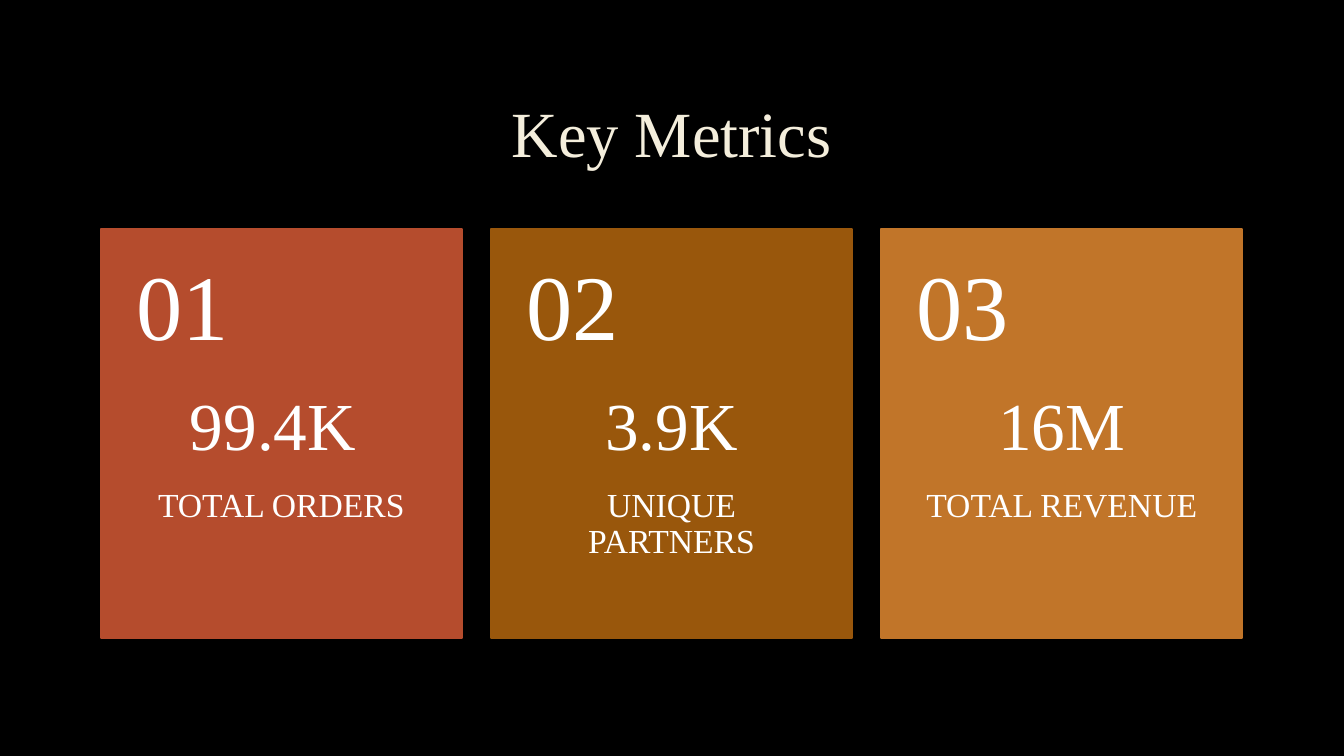
from lxml import etree
from pptx import Presentation
from pptx.dml.color import RGBColor
from pptx.enum import shapes, text
from pptx.oxml import ns
from pptx.util import Inches, Pt

FONT = "Times New Roman"
WHITE = "FFFFFF"
LEFT, TOP, WIDE, TALL = 1, 2.27, 3.58, 4.06
STEP = 3.87
HEAD = 1.62  # height of a card's number band
CARDS = [
    ("B54C2D", "01", "99.4K ", "TOTAL ORDERS"),
    ("99570C", "02", "3.9K", "UNIQUE PARTNERS"),
    ("C17529", "03", "16M", "TOTAL REVENUE"),
]


def paint(fill, color):
    fill.solid()
    fill.fore_color.rgb = RGBColor.from_string(color)


def add_run(para, words, size, color):
    run = para.add_run()
    run.text = words
    run.font.name = FONT
    run.font.size = Pt(size)
    paint(run.font.fill, color)
    para.line_spacing = 0.9
    return run


def add_text(group, box, pads, anchor, align, lines):
    frame = group.shapes.add_textbox(*map(Inches, box)).text_frame
    frame.word_wrap = True
    frame.vertical_anchor = anchor
    frame.margin_left = frame.margin_right = Inches(0.35)
    frame.margin_top, frame.margin_bottom = map(Inches, pads)
    for i, (words, size) in enumerate(lines):
        para = frame.add_paragraph() if i else frame.paragraphs[0]
        para.alignment = align
        para.space_after = Pt(round(size * 0.35))
        add_run(para, words, size, WHITE)


def add_title(slide, box):
    title = slide.shapes.title
    title.left, title.top, title.width, title.height = map(Inches, box)
    frame = title.text_frame
    frame.word_wrap = True
    frame.vertical_anchor = text.MSO_ANCHOR.MIDDLE
    para = frame.paragraphs[0]
    para.alignment = text.PP_ALIGN.CENTER
    run = add_run(para, "Key Metrics", 46, "F4EEDC")
    # Faint letter outline, which must come before the fill
    line = etree.fromstring(
        f'<a:ln {ns.nsdecls("a")} w="9525"><a:solidFill>'
        '<a:srgbClr val="404040"><a:alpha val="10000"/></a:srgbClr>'
        '</a:solidFill></a:ln>')
    run._r.get_or_add_rPr().insert(0, line)


def add_card(slide, box, color, number, value, label):
    x, y, w, h = box
    group = slide.shapes.add_group_shape()
    # Panel
    panel = group.shapes.add_shape(
        shapes.MSO_SHAPE.RECTANGLE, *map(Inches, box))
    panel.shadow.inherit = False
    paint(panel.fill, color)
    paint(panel.line.fill, color)
    panel.line.width = Pt(1.25)
    # Value with its label
    add_text(group, (x, y + HEAD, w, h - HEAD), (0, 0.36),
             text.MSO_ANCHOR.TOP, text.PP_ALIGN.CENTER,
             [(value, 48), (label, 24)])
    # Number
    add_text(group, (x, y, w, HEAD), (0.18, 0.18),
             text.MSO_ANCHOR.MIDDLE, text.PP_ALIGN.LEFT, [(number, 66)])


def main():
    deck = Presentation()
    deck.slide_width, deck.slide_height = Inches(13.33), Inches(7.5)
    slide = deck.slides.add_slide(deck.slide_layouts[5])
    paint(slide.background.fill, "000000")
    add_title(slide, (LEFT, 0.67, 11.32, 1.38))
    for i, card in enumerate(CARDS):
        add_card(slide, (LEFT + i * STEP, TOP, WIDE, TALL), *card)
    deck.save("out.pptx")


if __name__ == "__main__":
    main()
